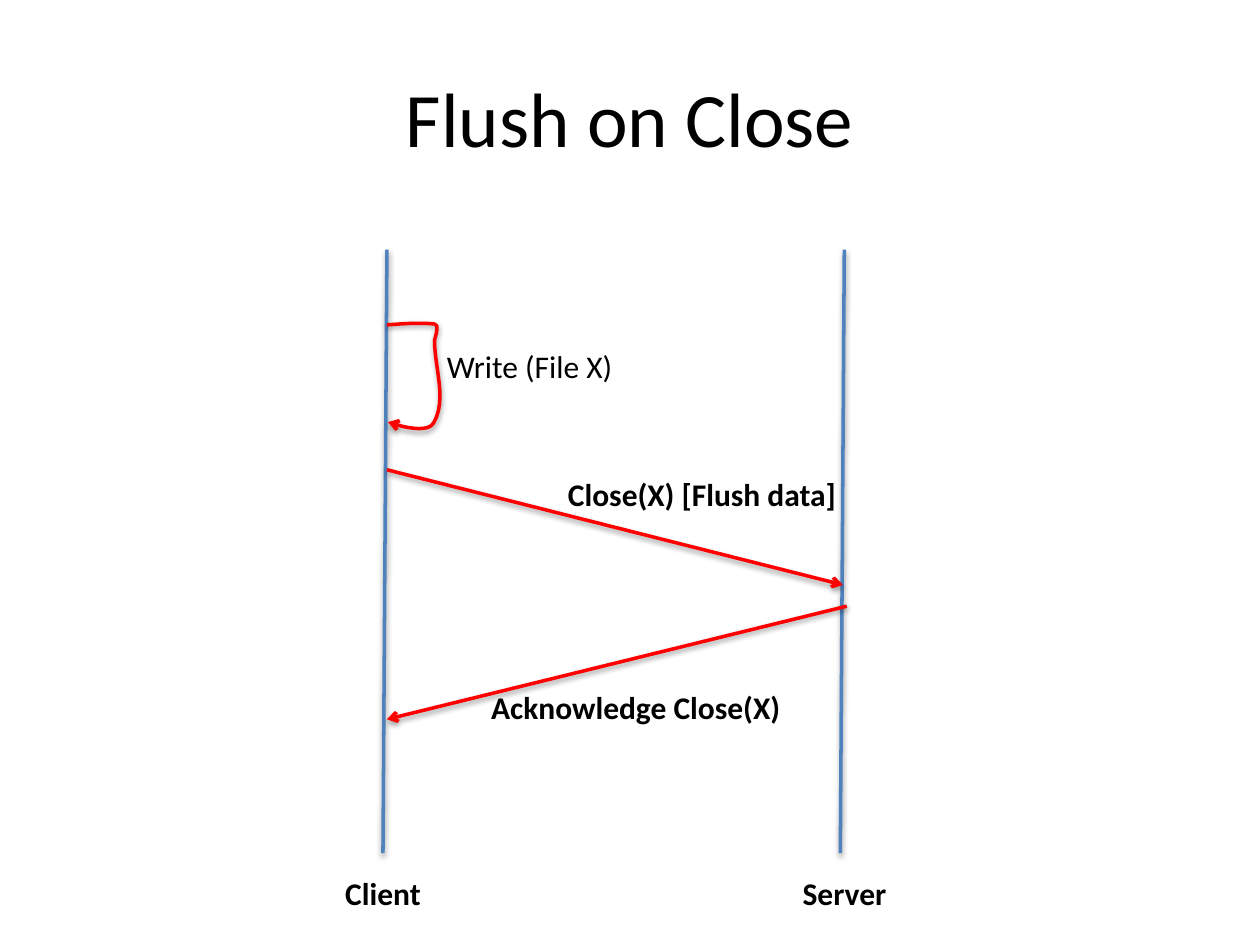
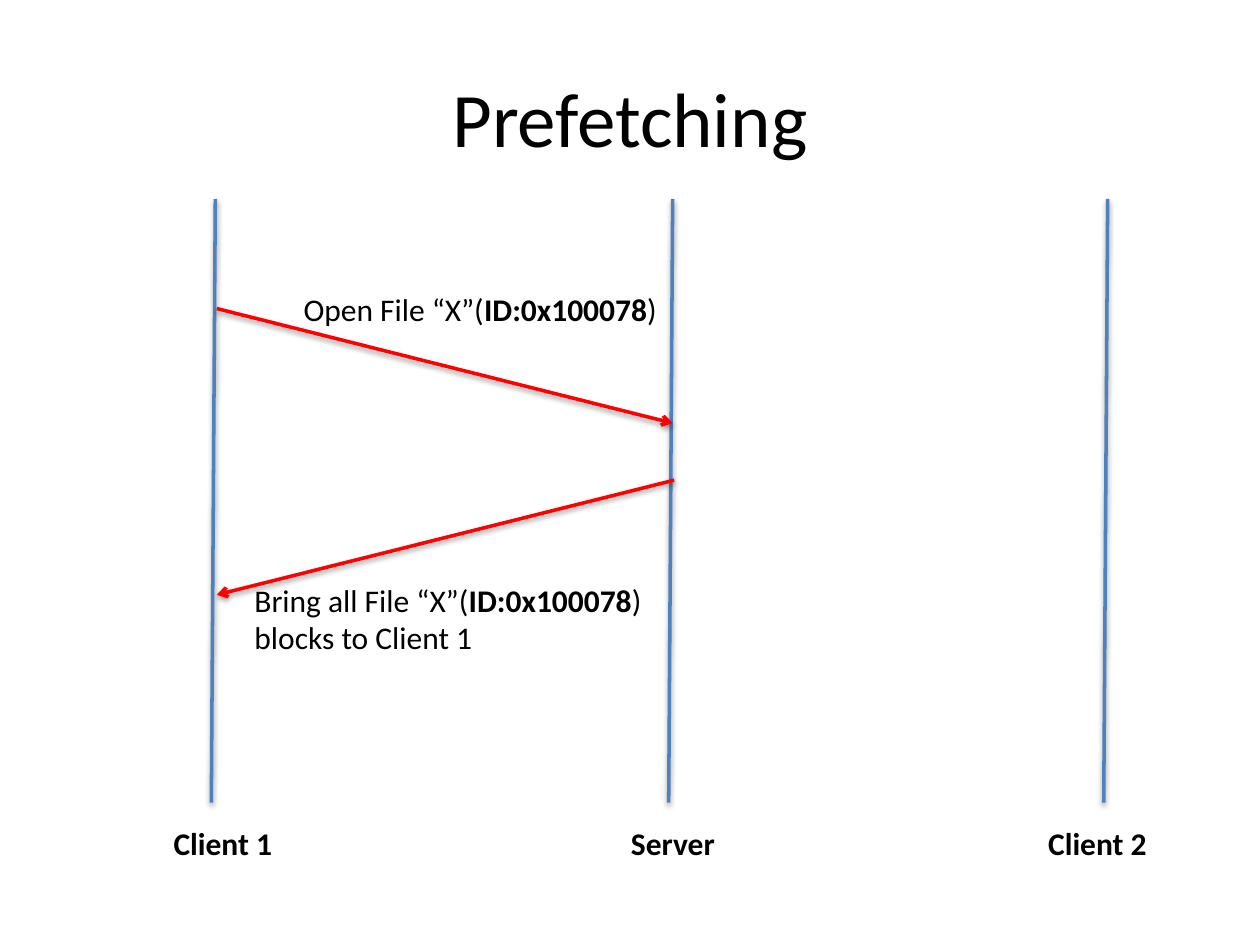
import pptx
import pptx.dml.color
import pptx.enum.shapes
import pptx.enum.text
import pptx.oxml
import pptx.oxml.ns
import pptx.util

Cm, Pt = pptx.util.Cm, pptx.util.Pt
RGB = pptx.dml.color.RGBColor.from_string

THEME = {
    "font": "Calibri", "text": "000000", "lifeline": "4F81BD", "message": "FF0000",
    "title_size": 44, "body_size": 18, "line_width": 2,
}
TITLE_BOX = dict(left=Cm(1.27), top=Cm(0.76), width=Cm(22.86), height=Cm(3.18))
LIFELINE_LENGTH, LIFELINE_LEAN, LABEL_DROP = 12.17, 0.08, 12.47
LINE_HEIGHT, BOX_PADDING = 0.77, 0.25
CURVE_STEPS = 12

FILE_ID = ("ID:0x100078", True)

SLIDES = [
    {
        "title": "Flush on Close",
        "top": 5.03,
        "lifelines": [("Client", 7.8, 6.71, 2.06), ("Server", 17.02, 15.93, 2.24)],
        "messages": [((7.8, 9.47), (16.99, 11.79)), ((17.07, 12.22), (7.8, 14.5))],
        "loops": [
            [(7.8, 6.55),
             (8.1, 6.53), (8.43, 6.5), (8.74, 6.53),
             (8.76, 6.53), (8.79, 6.55), (8.81, 6.58),
             (8.81, 6.68), (8.79, 6.76), (8.76, 6.86),
             (8.76, 7.42), (9.02, 8.05), (8.74, 8.53),
             (8.59, 8.79), (7.82, 8.51), (7.82, 8.51)],
        ],
        "notes": [
            (8.76, 6.88, 3.91, [[("Write (File X)", False)]]),
            (11.2, 9.45, 5.99, [[("Close(X) [Flush data]", True)]]),
            (9.65, 13.74, 6.4, [[("Acknowledge Close(X)", True)]]),
        ],
    },
    {
        "title": "Prefetching",
        "top": 4.01,
        "lifelines": [("Client 1", 4.34, 3.25, 2.51), ("Server", 13.56, 12.47, 2.24),
                      ("Client 2", 22.33, 20.88, 2.51)],
        "messages": [((4.37, 6.22), (13.56, 8.53)), ((13.59, 9.68), (4.37, 11.99))],
        "loops": [],
        "notes": [
            (5.87, 5.72, 7.7, [[("Open File “X”(", False), FILE_ID, (")", False)]]),
            (4.88, 11.58, 8.41, [[("Bring all File “X”(", False), FILE_ID, (")", False)],
                                 [("blocks to Client 1", False)]]),
        ],
    },
]

SHADOW = (
    '<a:effectLst %s><a:outerShdw blurRad="40000" dist="20000" dir="5400000" rotWithShape="0">'
    '<a:srgbClr val="000000"><a:alpha val="38000"/></a:srgbClr></a:outerShdw></a:effectLst>'
    % pptx.oxml.ns.nsdecls("a")
)
ARROW = '<a:tailEnd type="arrow" %s/>' % pptx.oxml.ns.nsdecls("a")


def set_attrs(obj, values):
    for name, value in values.items():
        setattr(obj, name, value)


def style_run(r, size, bold=False):
    set_attrs(r.font, {"name": THEME["font"], "size": Pt(size), "bold": bold})
    r.font.color.rgb = RGB(THEME["text"])


def style_line(sp, color, arrow):
    sp.line.color.rgb = RGB(color)
    sp.line.width = Pt(THEME["line_width"])
    props = sp._element.spPr
    if arrow:
        props.find(pptx.oxml.ns.qn("a:ln")).append(pptx.oxml.parse_xml(ARROW))
    props.append(pptx.oxml.parse_xml(SHADOW))


def add_line(slide, start, end, color, arrow=False):
    ends = [Cm(v) for v in (*start, *end)]
    sp = slide.shapes.add_connector(pptx.enum.shapes.MSO_CONNECTOR.STRAIGHT, *ends)
    style_line(sp, color, arrow)


def curve_points(knots):
    for i in range(0, len(knots) - 1, 3):
        for step in range(1, CURVE_STEPS + 1):
            t = step / CURVE_STEPS
            weights = ((1 - t) ** 3, 3 * t * (1 - t) ** 2, 3 * t ** 2 * (1 - t), t ** 3)
            yield tuple(Cm(sum(w * knot[axis] for w, knot in zip(weights, knots[i:i + 4])))
                        for axis in (0, 1))


def add_loop(slide, knots):
    outline = slide.shapes.build_freeform(*(Cm(v) for v in knots[0]))
    outline.add_line_segments(list(curve_points(knots)), close=False)
    sp = outline.convert_to_shape()
    sp.fill.background()
    style_line(sp, THEME["message"], True)


def add_note(slide, left, top, width, paragraphs):
    height = BOX_PADDING + LINE_HEIGHT * len(paragraphs)
    sp = slide.shapes.add_textbox(Cm(left), Cm(top), Cm(width), Cm(height))
    tf = sp.text_frame
    set_attrs(tf, {"word_wrap": False,
                   "auto_size": pptx.enum.text.MSO_AUTO_SIZE.SHAPE_TO_FIT_TEXT})
    for i, runs in enumerate(paragraphs):
        p = tf.add_paragraph() if i else tf.paragraphs[0]
        for text, bold in runs:
            r = p.add_run()
            r.text = text
            style_run(r, THEME["body_size"], bold)


def add_title(slide, text):
    sp = slide.shapes.title
    set_attrs(sp, TITLE_BOX)
    tf = sp.text_frame
    tf.vertical_anchor = pptx.enum.text.MSO_ANCHOR.MIDDLE
    p = tf.paragraphs[0]
    p.alignment = pptx.enum.text.PP_ALIGN.CENTER
    r = p.add_run()
    r.text = text
    style_run(r, THEME["title_size"])


def build_slide(prs, content):
    slide = prs.slides.add_slide(prs.slide_layouts[5])
    add_title(slide, content["title"])
    top = content["top"]
    for name, x, label_left, label_width in content["lifelines"]:
        add_line(slide, (x, top), (x - LIFELINE_LEAN, top + LIFELINE_LENGTH), THEME["lifeline"])
        add_note(slide, label_left, top + LABEL_DROP, label_width, [[(name, True)]])
    for knots in content["loops"]:
        add_loop(slide, knots)
    for start, end in content["messages"]:
        add_line(slide, start, end, THEME["message"], arrow=True)
    for note in content["notes"]:
        add_note(slide, *note)


def main():
    prs = pptx.Presentation()
    set_attrs(prs, {"slide_width": Cm(25.4), "slide_height": Cm(19.05)})
    for content in SLIDES:
        build_slide(prs, content)
    prs.save("out.pptx")


if __name__ == "__main__":
    main()
